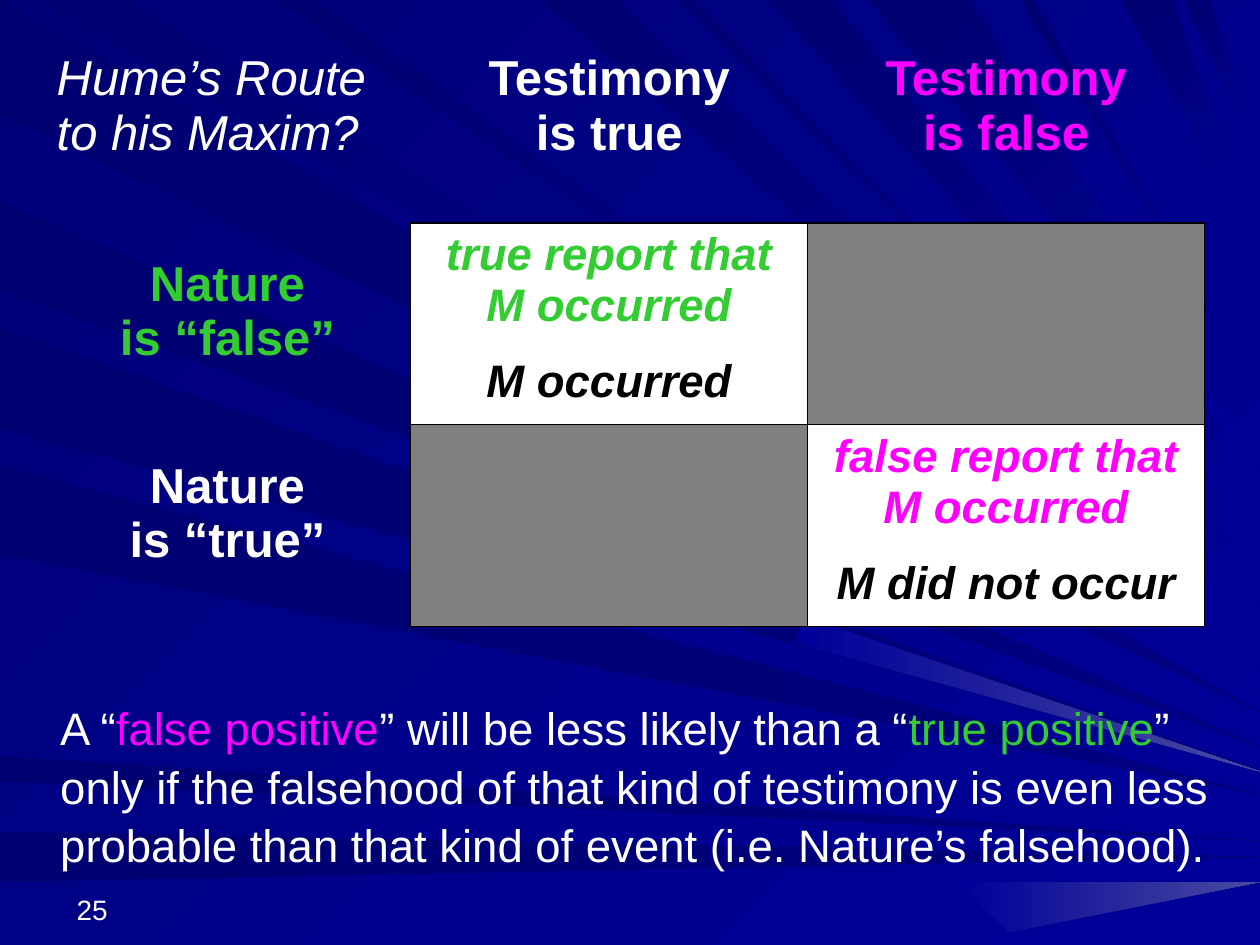
from lxml import etree
from pptx import Presentation
from pptx import util as u
from pptx.dml.color import RGBColor
from pptx.enum import text
from pptx.oxml import ns

WHITE = RGBColor(0xFF, 0xFF, 0xFF)
BLACK = RGBColor(0, 0, 0)
GREY = RGBColor(0x80, 0x80, 0x80)
MAGENTA = RGBColor(0xFF, 0, 0xFF)
GREEN = RGBColor(0x33, 0xCC, 0x33)
MIDNIGHT = RGBColor(0, 0, 0x70)
DUSK = RGBColor(0, 0, 0x78)
NAVY = RGBColor(0, 0, 0x80)
BLUE = RGBColor(0, 0, 0x99)
GLOW = RGBColor(0x4A, 0x4A, 0xA1)

NO_STYLE = "{2D5ABB26-0587-4C30-8999-92F81FD0307C}"
COLS, ROWS = 10, 7.5
FOCUS = (12.2, 6.8)  # the rays run towards this point right of the slide

# Where each ray leaves the left edge (rows) or the top edge (columns)
LEFT_SPANS = [(0, .9), (1.6, 2.3), (2.6, 3.4), (3.7, 4.4), (6, 6.2), (6.6, 7)]
TOP_SPANS = [(.3, 1), (2.2, 2.5), (4.3, 4.9), (5.4, 5.5), (6.1, 6.6),
             (6.9, 7.7), (8.1, 8.2), (8.9, 9.3), (9.4, 9.6)]


class Deck:
    """Style and current slide; lengths are columns and rows of a 10 by 7.5 grid."""
    font = "Arial"

    def __init__(self):
        self.prs = Presentation()
        self.prs.slide_width, self.prs.slide_height = u.Inches(10), u.Inches(7.5)
        self.unit_x = self.prs.slide_width / COLS
        self.unit_y = self.prs.slide_height / ROWS
        self.slide = self.prs.slides.add_slide(self.prs.slide_layouts[6])

    def x(self, cols):
        return u.Emu(round(cols * self.unit_x))

    def y(self, rows):
        return u.Emu(round(rows * self.unit_y))

    def box(self, left, top, width, height):
        return self.x(left), self.y(top), self.x(width), self.y(height)

    def gradient(self, fill, first, last, angle):
        fill.gradient()
        fill.gradient_angle = -angle % 360
        for stop, color in zip(fill.gradient_stops, (first, last)):
            stop.color.rgb = color

    def ray(self, start, end, first, last, angle):
        """Draw a wedge from the edge start-end to its tip on the right edge."""
        mid_x, mid_y = ((a + b) / 2 for a, b in zip(start, end))
        slope = (FOCUS[1] - mid_y) / (FOCUS[0] - mid_x)
        tip = (COLS, mid_y + slope * (COLS - mid_x))
        points = [(self.x(c), self.y(r)) for c, r in (start, end, tip)]
        builder = self.slide.shapes.build_freeform(*points[0])
        builder.add_line_segments(points[1:], close=True)
        sp = builder.convert_to_shape()
        sp.shadow.inherit = False
        sp.line.fill.background()
        self.gradient(sp.fill, first, last, angle)

    def run(self, p, words, size, color, bold=False, italic=False):
        """Add a run; a newline in the words becomes a line break."""
        for i, line in enumerate(words.split("\n")):
            if i:
                p.add_line_break()
            r = p.add_run()
            r.text = line
            r.font.name, r.font.size = self.font, u.Pt(size)
            r.font.bold, r.font.italic = bold, italic
            r.font.color.rgb = color

    def text_box(self, place, runs, size, anchor=text.MSO_ANCHOR.TOP):
        tf = self.slide.shapes.add_textbox(*self.box(*place)).text_frame
        tf.word_wrap = True
        tf.vertical_anchor = anchor
        p = tf.paragraphs[0]
        for words, color in runs:
            self.run(p, words, size, color)
        return p

    def table(self, left, top, widths, heights):
        place = self.box(left, top, sum(widths), sum(heights))
        table = self.slide.shapes.add_table(len(heights), len(widths), *place).table
        table.first_row = table.horz_banding = False
        table._tbl.tblPr.find(ns.qn("a:tableStyleId")).text = NO_STYLE
        for col, width in zip(table.columns, widths):
            col.width = self.x(width)
        for row, height in zip(table.rows, heights):
            row.height = self.y(height)
        return table

    def cell(self, cell, paragraphs, size, fill=None, sides="", centred=True,
             gap=0, **style):
        """Fill a cell with (words, colour) paragraphs; sides are drawn black."""
        for side in sides:
            ln = etree.SubElement(cell._tc.get_or_add_tcPr(), ns.qn(f"a:ln{side}"),
                                  w=str(u.Pt(1)))
            solid = etree.SubElement(ln, ns.qn("a:solidFill"))
            etree.SubElement(solid, ns.qn("a:srgbClr"), val=str(BLACK))
        if fill is None:
            cell.fill.background()
        else:
            cell.fill.solid()
            cell.fill.fore_color.rgb = fill
        tf = cell.text_frame
        for i, (words, color) in enumerate(paragraphs):
            p = tf.add_paragraph() if i else tf.paragraphs[0]
            p.alignment = text.PP_ALIGN.CENTER if centred else text.PP_ALIGN.LEFT
            if i and gap:
                p.space_before = u.Pt(gap)
            self.run(p, words, size, color, **style)


def main():
    deck = Deck()
    deck.gradient(deck.slide.background.fill, DUSK, BLUE, 45)
    for top, bottom in LEFT_SPANS:
        deck.ray((0, top), (0, bottom), MIDNIGHT, NAVY, 0)
    for left, right in TOP_SPANS:
        deck.ray((left, 0), (right, 0), MIDNIGHT, BLUE, 45)
    deck.ray((6.4, 4.9), (6.3, 5.1), BLUE, GLOW, 0)
    deck.ray((7.6, 7), (8, 7.4), BLUE, GLOW, 0)

    deck.text_box((.51, 6.9, 2.33, .5), [("25", WHITE)], 16, text.MSO_ANCHOR.BOTTOM)

    table = deck.table(.35, .36, [2.91, 3.15, 3.15], [1.41, 1.51, 1.51])
    deck.cell(table.cell(0, 0), [("Hume’s Route\nto his Maxim?", WHITE)], 28,
              centred=False, italic=True)
    for col, (words, color) in enumerate(
            [("Testimony\nis true", WHITE), ("Testimony\nis false", MAGENTA)], 1):
        deck.cell(table.cell(0, col), [(words, color)], 28, sides="B", bold=True)
    for row, (words, color) in enumerate([("is “false”", GREEN), ("is “true”", WHITE)], 1):
        label = table.cell(row, 0)
        label.margin_top = deck.y(.27)
        deck.cell(label, [("Nature", color), (words, color)], 28, sides="R", bold=True)

    outcomes = {
        (1, 1): [("true report that M occurred", GREEN), ("M occurred", BLACK)],
        (2, 2): [("false report that M occurred", MAGENTA), ("M did not occur", BLACK)],
    }
    for row in (1, 2):
        for col in (1, 2):
            lines = outcomes.get((row, col), [])
            deck.cell(table.cell(row, col), lines, 26, WHITE if lines else GREY,
                      sides="LRTB", gap=14.5, bold=True, italic=True)

    p = deck.text_box((0, 5.48, 9.73, 1.65), [
        ("A “", WHITE), ("false positive", MAGENTA),
        ("” will be less likely than a “", WHITE), ("true positive", GREEN),
        ("” only if the falsehood of that kind of testimony is even less probable "
         "than that kind of event (i.e. Nature’s falsehood).", WHITE)], 26)
    p.line_spacing = 1.07
    p._p.get_or_add_pPr().set("marL", str(deck.x(.38)))

    deck.prs.save("out.pptx")


if __name__ == "__main__":
    main()
